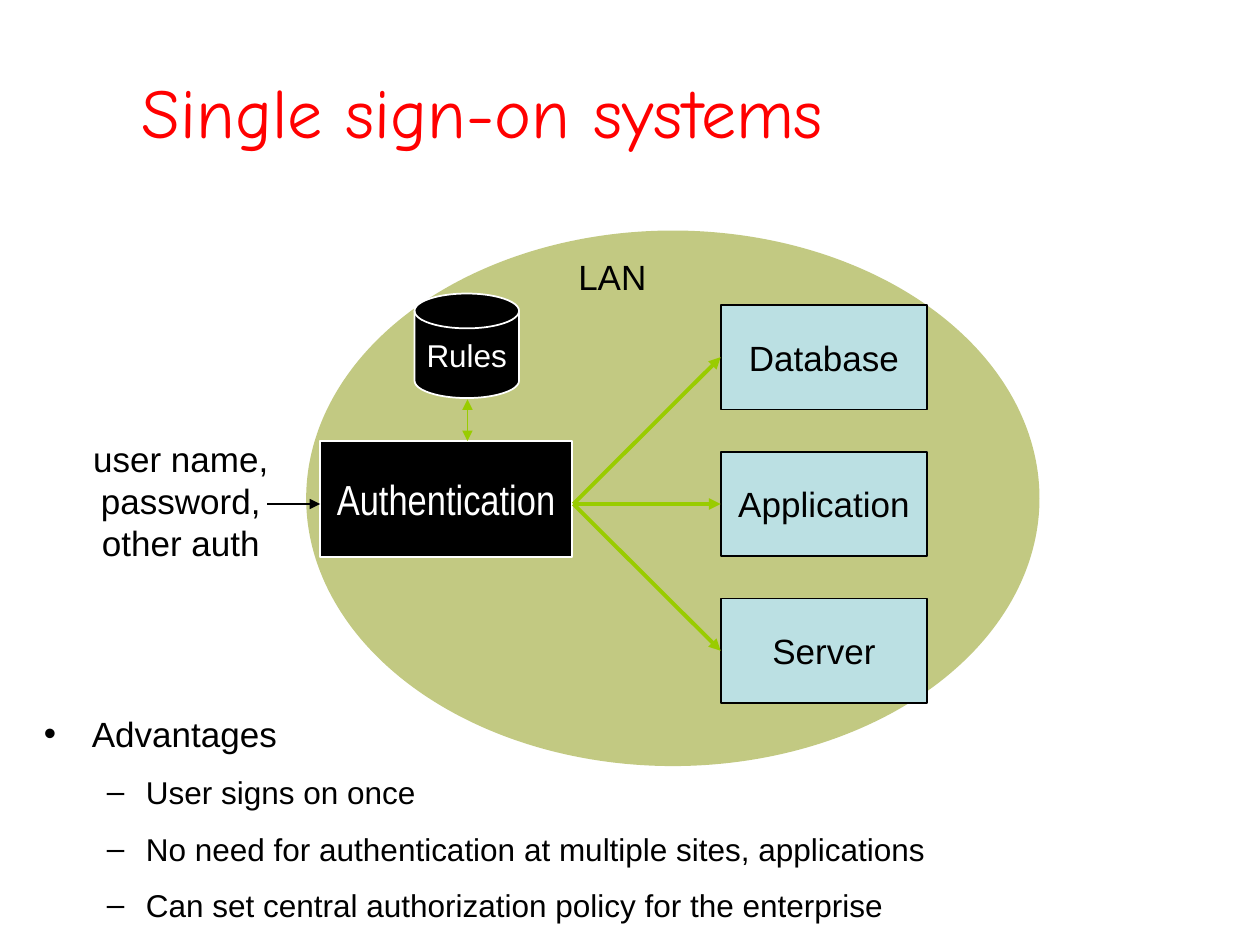
from dataclasses import dataclass

from lxml import etree
from pptx import Presentation
from pptx.dml.color import RGBColor
from pptx.enum.shapes import MSO_CONNECTOR, MSO_SHAPE
from pptx.enum.text import MSO_ANCHOR, PP_ALIGN
from pptx.oxml.ns import qn
from pptx.util import Inches, Pt

STRAIGHT = MSO_CONNECTOR.STRAIGHT
ELLIPSE, DISK, RECTANGLE = MSO_SHAPE.OVAL, MSO_SHAPE.FLOWCHART_MAGNETIC_DISK, MSO_SHAPE.RECTANGLE
CENTER, LEFT = PP_ALIGN.CENTER, PP_ALIGN.LEFT
MIDDLE, TOP = MSO_ANCHOR.MIDDLE, MSO_ANCHOR.TOP
LEFT_SIDE = 1


@dataclass(frozen=True)
class Theme:
    red = RGBColor(0xFF, 0x00, 0x00)
    olive = RGBColor(0x86, 0x94, 0x06)
    black = RGBColor(0x00, 0x00, 0x00)
    white = RGBColor(0xFF, 0xFF, 0xFF)
    pale_blue = RGBColor(0xBB, 0xE0, 0xE3)
    green = RGBColor(0x99, 0xCC, 0x00)
    title_font = "Comic Neue"
    body_font = "Arial"
    narrow_font = "Arial Narrow"
    title_size = Pt(40)
    box_size = Pt(24)
    text_size = Pt(20)
    small_size = Pt(18)
    thin = Pt(1)
    thick = Pt(2.25)


theme = Theme()


def write_text(shape, text, size, color, font=theme.body_font,
               align=CENTER, anchor=MIDDLE, wrap=False):
    frame = shape.text_frame
    frame.text = text
    frame.word_wrap = wrap
    frame.vertical_anchor = anchor
    for paragraph in frame.paragraphs:
        paragraph.alignment = align
        for span in paragraph.runs:
            span.font.size = size
            span.font.name = font
            span.font.color.rgb = color


def add_arrow(start, end, color, width, both_ends=False):
    arrow = page.shapes.add_connector(STRAIGHT, *map(Inches, start + end))
    arrow.line.color.rgb = color
    arrow.line.width = width
    line = arrow.line._get_or_add_ln()
    for tag in ("a:headEnd", "a:tailEnd") if both_ends else ("a:tailEnd",):
        etree.SubElement(line, qn(tag), type="triangle")
    etree.SubElement(arrow._element.spPr, qn("a:effectLst"))
    return arrow


deck = Presentation()
deck.slide_width, deck.slide_height = Inches(10), Inches(7.5)
page = deck.slides.add_slide(deck.slide_layouts[6])

# Title
title = page.shapes.add_textbox(Inches(-0.67), Inches(0.25), Inches(9), Inches(1.25))
write_text(title, "Single sign-on systems", theme.title_size, theme.red,
           theme.title_font, wrap=True)
title.text_frame.paragraphs[0].space_before = Pt(12)
title.text_frame.paragraphs[0].space_after = Pt(3)

# Network area
network = page.shapes.add_shape(ELLIPSE, Inches(2.43), Inches(1.83), Inches(5.82), Inches(4.25))
network.shadow.inherit = False
network.fill.solid()
network.fill.fore_color.rgb = theme.olive
network.line.fill.background()
network_color = network._element.spPr.find(qn("a:solidFill"))[0]
etree.SubElement(network_color, qn("a:alpha"), val="50000")

# Components of the network
service_left, service_top, service_pitch = 5.72, 2.42, 1.165
service_names = ["Database", "Application", "Server"]
dark = (theme.black, theme.white, theme.white)
light = (theme.pale_blue, theme.black, theme.black)
components = [
    ("Rules", DISK, (3.29, 2.33, 0.83, 0.83), dark, theme.small_size, theme.body_font),
    ("Authentication", RECTANGLE, (2.54, 3.5, 2, 0.92), dark, theme.box_size, theme.narrow_font),
]
for row, name in enumerate(service_names):
    place = (service_left, service_top + row * service_pitch, 1.64, 0.83)
    components.append((name, RECTANGLE, place, light, theme.text_size, theme.body_font))

boxes = {}
for name, kind, place, (fill, outline, ink), size, font in components:
    box = page.shapes.add_shape(kind, *map(Inches, place))
    box.shadow.inherit = False
    box.fill.solid()
    box.fill.fore_color.rgb = fill
    box.line.color.rgb = outline
    box.line.width = theme.thin
    write_text(box, name, size, ink, font, wrap=name == "Authentication")
    boxes[name] = box

# Labels
for text, place in [
    ("LAN", (4.49, 1.98, 0.74, 0.44)),
    ("user name,\npassword,\nother auth", (0.64, 3.42, 1.59, 1.1)),
]:
    label = page.shapes.add_textbox(*map(Inches, place))
    write_text(label, text, theme.text_size, theme.black, anchor=TOP)

# Arrows
add_arrow((2.12, 4), (2.54, 4), theme.black, theme.thin)
add_arrow((3.71, 3.5), (3.71, 3.17), theme.green, theme.thin, both_ends=True)
for name in service_names:
    arrow = add_arrow((4.55, 4), (service_left, 4), theme.green, theme.thick)
    arrow.end_connect(boxes[name], LEFT_SIDE)

# Advantages
advantages = page.shapes.add_textbox(Inches(0.25), Inches(5.67), Inches(9.01), Inches(0.75))
write_text(advantages,
           "Advantages\n"
           "User signs on once\n"
           "No need for authentication at multiple sites, applications\n"
           "Can set central authorization policy for the enterprise",
           theme.text_size, theme.black, align=LEFT, anchor=TOP, wrap=True)
for index, paragraph in enumerate(advantages.text_frame.paragraphs):
    paragraph.line_spacing = 0.8
    paragraph.space_before = Pt(12)
    paragraph.space_after = Pt(3)
    bullet, margin, hanging = "•", 0.38, 0.38
    if index:
        bullet, margin, hanging = "–", 0.81, 0.31
        paragraph.level = 1
        paragraph.runs[0].font.size = theme.small_size
    properties = paragraph._p.get_or_add_pPr()
    properties.set("marL", str(Inches(margin)))
    properties.set("indent", str(-Inches(hanging)))
    bullet_color = etree.SubElement(properties, qn("a:buClr"))
    etree.SubElement(bullet_color, qn("a:srgbClr"), val=str(theme.black))
    etree.SubElement(properties, qn("a:buFont"), typeface=theme.body_font)
    etree.SubElement(properties, qn("a:buChar"), char=bullet)

deck.save("out.pptx")
